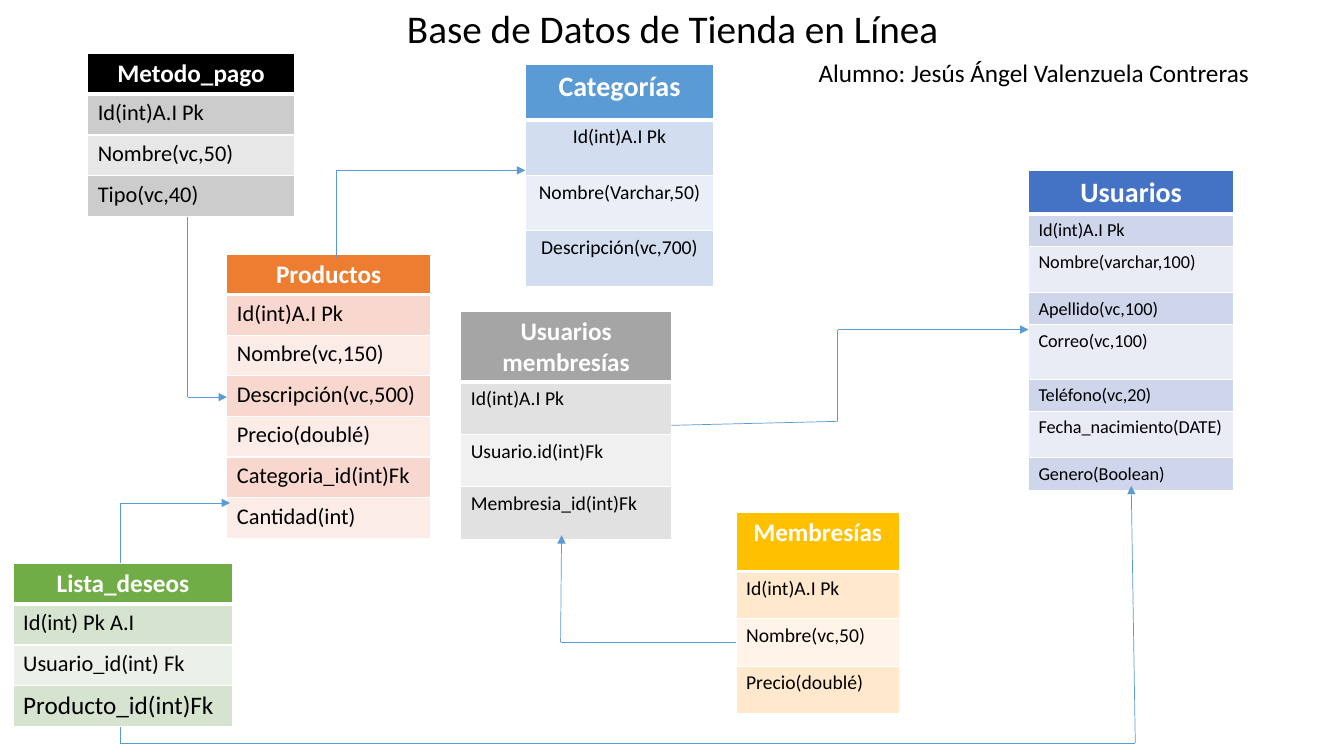
from dataclasses import dataclass

from lxml import etree
from pptx import Presentation
from pptx.dml.color import RGBColor
from pptx.enum.shapes import MSO_CONNECTOR
from pptx.enum.text import MSO_ANCHOR, PP_ALIGN
from pptx.oxml.ns import qn
from pptx.util import Inches, Pt

FONT = "Calibri"
BLACK = RGBColor(0x00, 0x00, 0x00)
WHITE = RGBColor(0xFF, 0xFF, 0xFF)
BLUE = RGBColor(0x5B, 0x9B, 0xD5)
BLUE_BANDS = (RGBColor(0xD2, 0xDE, 0xEF), RGBColor(0xEA, 0xEF, 0xF7))
INDIGO = RGBColor(0x44, 0x72, 0xC4)
INDIGO_BANDS = (RGBColor(0xCF, 0xD5, 0xEA), RGBColor(0xE9, 0xEB, 0xF5))
GRAY = RGBColor(0xA5, 0xA5, 0xA5)
GRAY_BANDS = (RGBColor(0xE1, 0xE1, 0xE1), RGBColor(0xF0, 0xF0, 0xF0))
GOLD = RGBColor(0xFF, 0xC0, 0x00)
GOLD_BANDS = (RGBColor(0xFF, 0xE8, 0xCC), RGBColor(0xFF, 0xF4, 0xE7))
ORANGE = RGBColor(0xED, 0x7D, 0x31)
ORANGE_BANDS = (RGBColor(0xF8, 0xD7, 0xCE), RGBColor(0xFC, 0xEC, 0xE8))
BLACK_BANDS = (RGBColor(0xCC, 0xCC, 0xCC), RGBColor(0xE7, 0xE7, 0xE7))
GREEN = RGBColor(0x70, 0xAD, 0x47)
GREEN_BANDS = (RGBColor(0xD5, 0xE3, 0xCF), RGBColor(0xEB, 0xF1, 0xE9))


@dataclass
class Entity:
    """A database table with its place, look and fields."""

    name: str
    fields: list
    left: float
    top: float
    width: float
    heights: list
    color: RGBColor
    bands: tuple
    name_size: int = 18
    field_size: int = 16
    last_size: int = 0
    field_align: PP_ALIGN = PP_ALIGN.LEFT


ENTITIES = [
    Entity("Categorías", ["Id(int)A.I Pk", "Nombre(Varchar,50)", "Descripción(vc,700)"],
           5.21, 0.64, 1.87, [0.55] * 4, BLUE, BLUE_BANDS, 20, 14,
           field_align=PP_ALIGN.CENTER),
    Entity("Usuarios",
           ["Id(int)A.I Pk", "Nombre(varchar,100)", "Apellido(vc,100)", "Correo(vc,100)",
            "Teléfono(vc,20)", "Fecha_nacimiento(DATE)", "Genero(Boolean)"],
           10.2, 1.69, 2.04, [0.43, 0.32, 0.46, 0.32, 0.54, 0.32, 0.46, 0.32],
           INDIGO, INDIGO_BANDS, 20, 13),
    Entity("Usuarios membresías",
           ["Id(int)A.I Pk", "Usuario.id(int)Fk", "Membresia_id(int)Fk"],
           4.57, 3.09, 2.09, [0.7] + [0.52] * 3, GRAY, GRAY_BANDS, field_size=14),
    Entity("Membresías", ["Id(int)A.I Pk", "Nombre(vc,50)", "Precio(doublé)"],
           7.3, 5.08, 1.62, [0.59] + [0.47] * 3, GOLD, GOLD_BANDS, field_size=14),
    Entity("Productos",
           ["Id(int)A.I Pk", "Nombre(vc,150)", "Descripción(vc,500)", "Precio(doublé)",
            "Categoria_id(int)Fk", "Cantidad(int)"],
           2.25, 2.52, 2.02, [2.82 / 7] * 7, ORANGE, ORANGE_BANDS),
    Entity("Metodo_pago", ["Id(int)A.I Pk", "Nombre(vc,50)", "Tipo(vc,40)"],
           0.87, 0.53, 2.05, [1.62 / 4] * 4, BLACK, BLACK_BANDS),
    Entity("Lista_deseos", ["Id(int) Pk A.I", "Usuario_id(int) Fk", "Producto_id(int)Fk"],
           0.13, 5.59, 2.18, [1.62 / 4] * 4, GREEN, GREEN_BANDS, last_size=18),
]

ROUTES = [
    [(7.3, 6.37), (5.56, 6.37), (5.57, 5.31)],
    [(6.66, 4.22), (8.31, 4.18), (8.31, 3.27), (10.2, 3.27)],
    [(3.34, 2.56), (3.34, 1.69), (5.21, 1.69)],
    [(1.86, 2.15), (1.86, 3.94), (2.25, 3.94)],
    [(1.19, 7.21), (1.19, 7.37), (11.26, 7.37), (11.22, 4.82)],
]


def style_paragraph(para, size, color, align, bold=False):
    """Set the font and alignment of a paragraph."""
    para.alignment = align
    para.font.name = FONT
    para.font.size = Pt(size)
    para.font.bold = bold
    para.font.color.rgb = color


def add_text(page, text, left, top, width, height, size, align, anchor):
    """Add a single-line text box."""
    box = page.shapes.add_textbox(Inches(left), Inches(top), Inches(width), Inches(height))
    box.text_frame.word_wrap = True
    box.text_frame.vertical_anchor = anchor
    para = box.text_frame.paragraphs[0]
    para.text = text
    para.line_spacing = 0.9
    style_paragraph(para, size, BLACK, align)


def add_borders(cell, bottom):
    """Draw white borders around a cell, with its own bottom width."""
    properties = cell._tc.get_or_add_tcPr()
    for side, points in (("L", 1), ("R", 1), ("T", 1), ("B", bottom)):
        line = etree.SubElement(properties, qn(f"a:ln{side}"), w=str(Pt(points)))
        fill = etree.SubElement(line, qn("a:solidFill"))
        etree.SubElement(fill, qn("a:srgbClr"), val=str(WHITE))


def fill_cell(cell, text, fill, size, color, align, bold=False, bottom=1):
    """Write and color one table cell."""
    add_borders(cell, bottom)
    cell.fill.solid()
    cell.fill.fore_color.rgb = fill
    para = cell.text_frame.paragraphs[0]
    para.text = text
    style_paragraph(para, size, color, align, bold)


def add_entity(page, entity):
    """Add a table with a heading row and banded field rows."""
    frame = page.shapes.add_table(
        len(entity.heights), 1, Inches(entity.left), Inches(entity.top),
        Inches(entity.width), Inches(sum(entity.heights)))
    table = frame.table
    for row, height in zip(table.rows, entity.heights):
        row.height = Inches(height)
    fill_cell(table.cell(0, 0), entity.name, entity.color, entity.name_size, WHITE,
              PP_ALIGN.CENTER, bold=True, bottom=3)
    for index, field in enumerate(entity.fields):
        is_last = index == len(entity.fields) - 1
        size = entity.last_size if is_last and entity.last_size else entity.field_size
        fill_cell(table.cell(index + 1, 0), field, entity.bands[index % 2], size, BLACK,
                  entity.field_align)


def add_line(page, start, end, arrow=False, kind=MSO_CONNECTOR.STRAIGHT):
    """Add a thin blue connector, with an arrowhead if asked."""
    connector = page.shapes.add_connector(
        kind, *(Inches(value) for value in (*start, *end)))
    connector.line.color.rgb = BLUE
    connector.line.width = Pt(0.5)
    if arrow:
        etree.SubElement(connector.line._get_or_add_ln(), qn("a:tailEnd"), type="triangle")
    etree.SubElement(connector._element.spPr, qn("a:effectLst"))
    return connector


def add_route(page, points):
    """Join points with straight lines, the last one with an arrowhead."""
    for index in range(len(points) - 1):
        add_line(page, points[index], points[index + 1], arrow=index == len(points) - 2)


def add_corner(page, start, end):
    """Add a one-bend arrow that goes up and then right."""
    center_x, center_y = (start[0] + end[0]) / 2, (start[1] + end[1]) / 2
    half_rise, half_run = (start[1] - end[1]) / 2, (end[0] - start[0]) / 2
    connector = add_line(
        page, (center_x + half_rise, center_y + half_run),
        (center_x - half_rise, center_y - half_run), True, MSO_CONNECTOR.ELBOW)
    properties = connector._element.spPr
    properties.find(qn("a:xfrm")).set("rot", "5400000")
    properties.find(qn("a:prstGeom")).set("prst", "bentConnector2")


def main():
    """Build the database diagram and save it."""
    deck = Presentation()
    deck.slide_width, deck.slide_height = Inches(13.33), Inches(7.5)
    page = deck.slides.add_slide(deck.slide_layouts[6])
    add_text(page, "Base de Datos de Tienda en Línea", 1.67, -0.21, 10, 0.77, 28,
             PP_ALIGN.CENTER, MSO_ANCHOR.BOTTOM)
    add_text(page, "Alumno: Jesús Ángel Valenzuela Contreras", 8.02, 0.55, 4.78, 0.49, 18,
             PP_ALIGN.LEFT, MSO_ANCHOR.TOP)
    for entity in ENTITIES:
        add_entity(page, entity)
    for points in ROUTES:
        add_route(page, points)
    add_corner(page, (1.19, 5.59), (2.28, 4.99))
    deck.save("out.pptx")


if __name__ == "__main__":
    main()
